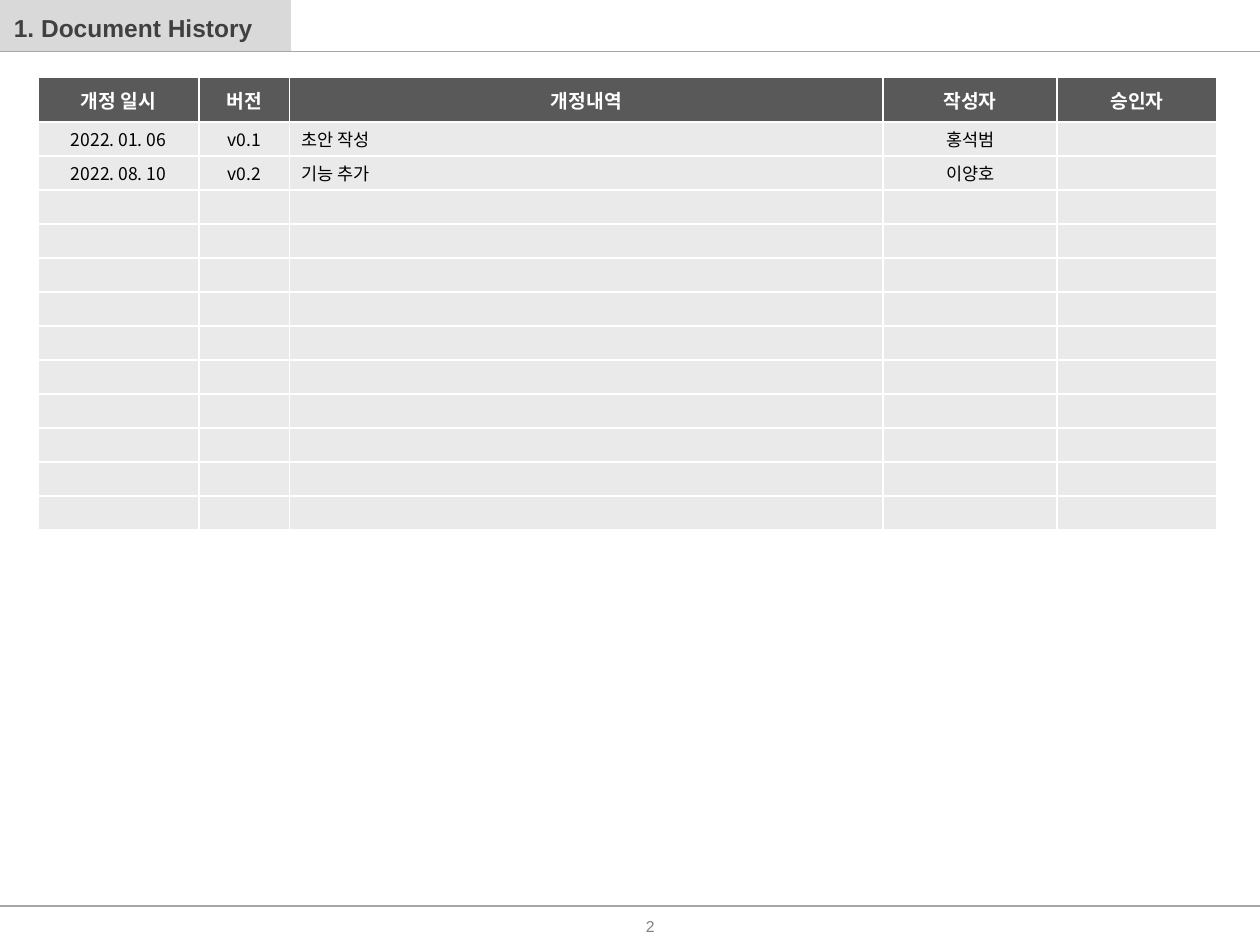
from lxml import etree
from pptx import Presentation, util as u
from pptx.dml.color import RGBColor
from pptx.enum import shapes, text
from pptx.oxml.ns import qn

THEME = {
    "tab": "D9D9D9", "rule": "A6A6A6", "title": "404040", "number": "808080",
    "head": "595959", "body": "EAEAEA", "white": "FFFFFF", "black": "000000",
    "latin": "Arial", "korean": "Noto Sans CJK KR",
    "title_size": 14, "head_size": 11, "body_size": 10, "number_size": 9,
}
CENTER, LEFT = text.PP_ALIGN.CENTER, text.PP_ALIGN.LEFT


def write(para, words, face, size, color, bold=False, align=LEFT):
    """Put words in a paragraph and set its font."""
    para.text = words
    para.alignment = align
    font = para.font
    font.name, font.size, font.bold = THEME[face], u.Pt(THEME[size]), bold
    font.color.rgb = RGBColor.from_string(THEME[color])


def add_borders(cell):
    """Give a cell white one-point borders on all sides."""
    properties = cell._tc.get_or_add_tcPr()
    for side in ("lnL", "lnR", "lnT", "lnB"):
        line = etree.SubElement(properties, qn("a:" + side), w=str(u.Pt(1)))
        fill = etree.SubElement(line, qn("a:solidFill"))
        etree.SubElement(fill, qn("a:srgbClr"), val=THEME["white"])


deck = Presentation()
deck.slide_width, deck.slide_height = u.Inches(10), u.Inches(7.5)
page = deck.slides.add_slide(deck.slide_layouts[6])

# Page frame
tab = page.shapes.add_shape(
    shapes.MSO_SHAPE.RECTANGLE, 0, 0, u.Inches(2.31), u.Inches(0.41))
tab.shadow.inherit = False
tab.fill.solid()
tab.fill.fore_color.rgb = RGBColor.from_string(THEME["tab"])
tab.line.fill.background()

for y in (0.41, 7.19):
    rule = page.shapes.add_connector(
        shapes.MSO_CONNECTOR.STRAIGHT, 0, u.Inches(y), u.Inches(10), u.Inches(y))
    rule.line.color.rgb = RGBColor.from_string(THEME["rule"])
    rule.line.width = u.Pt(0.75)
    etree.SubElement(rule._element.spPr, qn("a:effectLst"))

# Page number and title
labels = [
    ((4.47, 7.21, 1.38, 0.28), ("2", "latin", "number_size", "number", False, CENTER)),
    ((0.11, 0.1, 2.96, 0.24),
     ("1. Document History", "latin", "title_size", "title", True, LEFT)),
]
for place, content in labels:
    box = page.shapes.add_textbox(*map(u.Inches, place))
    frame = box.text_frame
    frame.word_wrap = True
    frame.vertical_anchor = text.MSO_ANCHOR.MIDDLE
    frame.margin_left = frame.margin_right = frame.margin_top = frame.margin_bottom = 0
    write(frame.paragraphs[0], *content)

# Revision table
ROW_COUNT = 13
COLUMN_WIDTHS = [1.28, 0.72, 4.71, 1.38, 1.27]
entries = [
    ["개정 일시", "버전", "개정내역", "작성자", "승인자"],
    ["2022. 01. 06", "v0.1", "초안 작성", "홍석범", ""],
    ["2022. 08. 10", "v0.2", "기능 추가", "이양호", ""],
]
entries += [[""] * len(COLUMN_WIDTHS)] * (ROW_COUNT - len(entries))

table = page.shapes.add_table(
    ROW_COUNT, len(COLUMN_WIDTHS),
    u.Inches(0.3), u.Inches(0.61), u.Inches(9.37), u.Inches(3.59)).table
table.first_row = table.horz_banding = False
for column, width in zip(table.columns, COLUMN_WIDTHS):
    column.width = u.Inches(width)

for r, entry in enumerate(entries):
    is_head = r == 0
    table.rows[r].height = u.Inches(0.36 if is_head else 0.27)
    for c, words in enumerate(entry):
        cell = table.cell(r, c)
        add_borders(cell)
        cell.fill.solid()
        cell.fill.fore_color.rgb = RGBColor.from_string(THEME["head" if is_head else "body"])
        cell.vertical_anchor = text.MSO_ANCHOR.MIDDLE
        cell.margin_left = cell.margin_right = u.Inches(0.09)
        cell.margin_top = cell.margin_bottom = u.Inches(0.02)
        para = cell.text_frame.paragraphs[0]
        if not words:
            # Keeps an empty row from growing to the default type size
            etree.SubElement(para._p, qn("a:endParaRPr"), sz=str(THEME["body_size"] * 100))
            continue
        para.space_before = u.Pt(2)
        if is_head:
            write(para, words, "latin", "head_size", "white", True, CENTER)
        else:
            write(para, words, "korean", "body_size", "black", False,
                  LEFT if c == 2 else CENTER)

deck.save("out.pptx")
